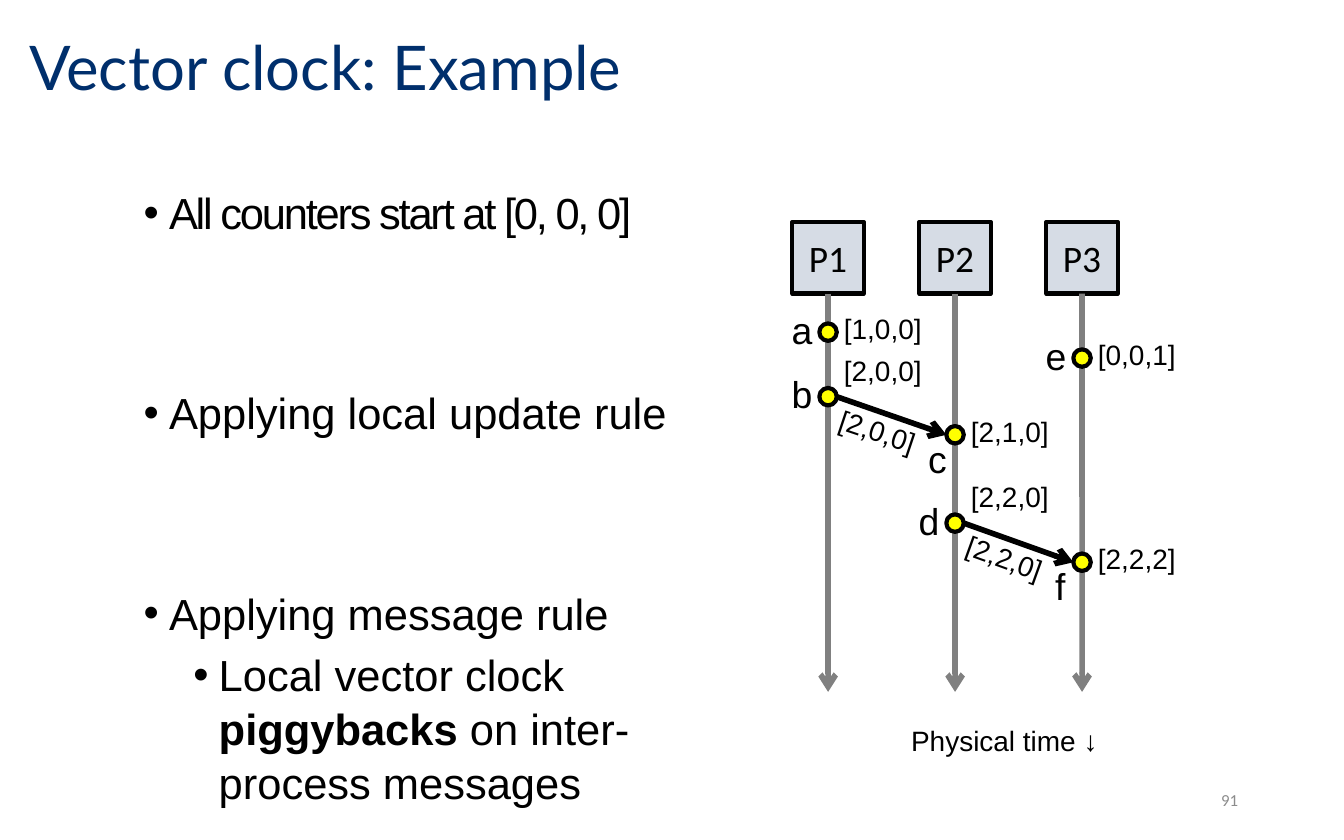
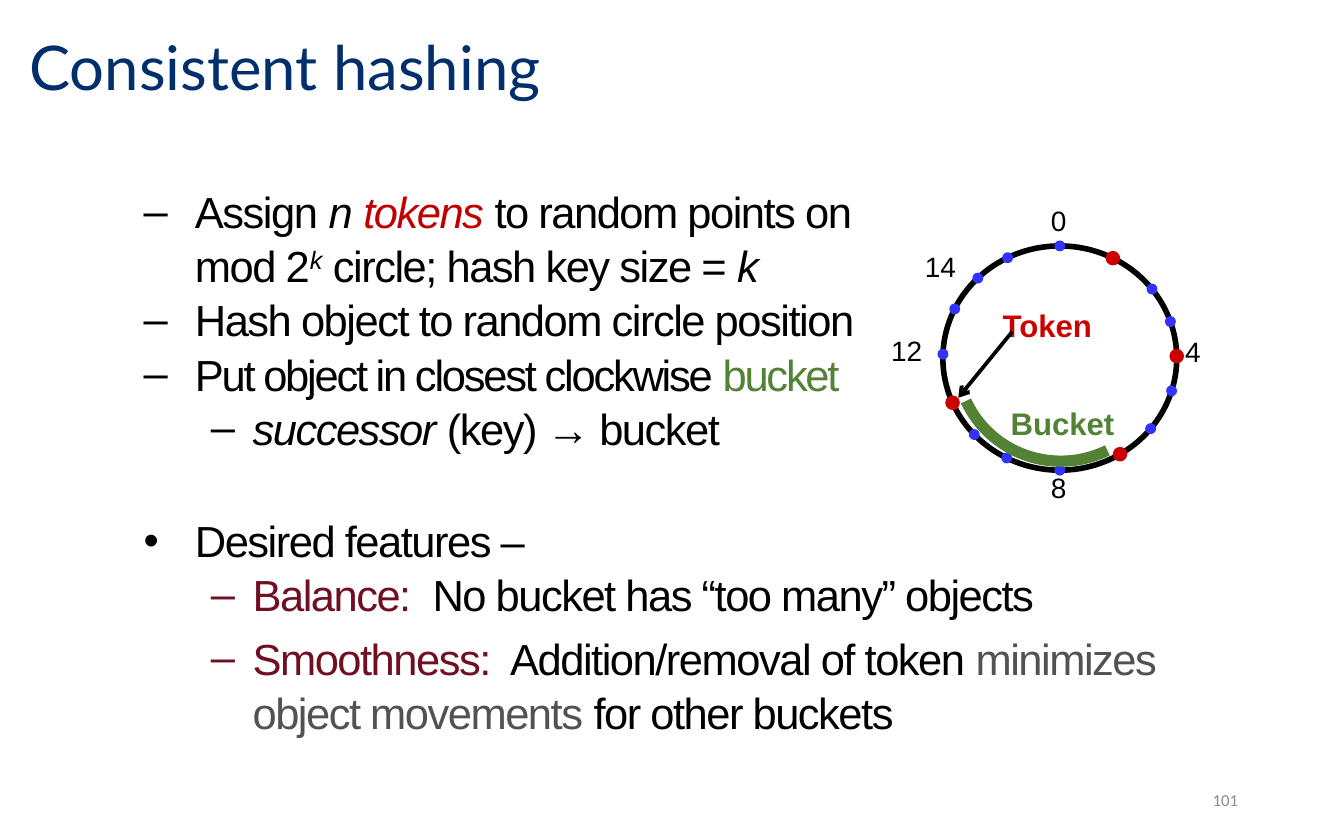
from math import cos, radians, sin

from lxml import etree
from pptx import Presentation
from pptx.dml.color import RGBColor
from pptx.enum.shapes import MSO_CONNECTOR, MSO_SHAPE
from pptx.enum.text import MSO_ANCHOR, MSO_AUTO_SIZE, PP_ALIGN
from pptx.oxml.ns import qn
from pptx.util import Cm, Pt

STRAIGHT = MSO_CONNECTOR.STRAIGHT
ELLIPSE, ARC, PROCESS = MSO_SHAPE.OVAL, MSO_SHAPE.ARC, MSO_SHAPE.FLOWCHART_PROCESS
TOP, MIDDLE = MSO_ANCHOR.TOP, MSO_ANCHOR.MIDDLE
LEFT, CENTER, RIGHT = PP_ALIGN.LEFT, PP_ALIGN.CENTER, PP_ALIGN.RIGHT
NO_AUTOFIT, GROW = MSO_AUTO_SIZE.NONE, MSO_AUTO_SIZE.SHAPE_TO_FIT_TEXT

BLACK, NAVY, GRAY, NUMBER_GRAY = "000000", "002F6C", "808080", "8C8C8C"
BOX_FILL, YELLOW, BLUE, RED = "D6DCE5", "FFFF00", "3333FF", "CC0000"
GREEN, MAROON, DARK_GRAY, DARK_RED = "548235", "700F21", "525252", "C00000"

TITLE_BOX = (0.3, 0.25, 21.64, 2.18)
NUMBER_BOX = (17.93, 14.71, 5.72, 0.84)
LIST_SIZE = 23.3
LINE_SPACING = 1.04

LEVELS = {
    "point": ("•", 0, 0.48, 0.48),
    "detail": ("•", 1, 1.42, 0.48),
    "dash": ("–", 0, 0.97, 0.97),
    "heading": ("•", 0, 0.97, 0.97),
    "subdash": ("–", 1, 2.06, 0.79),
}
TIGHT = {"spacing": -0.8}
TIGHTER = {"spacing": -1.2}
ITALIC = {"spacing": -0.8, "italic": True}

CLOCK_BOX = (2.46, 3.35, 11.48, 12.09)
CLOCK_LIST = [
    ("point", 0, 0, [("All counters start at [0, 0, 0]", TIGHTER)]),
    ("point", 78.3, 0, [("Applying local update rule", {})]),
    ("point", 78.3, 0, [("Applying message rule", {})]),
    ("detail", 3.8, 0, [
        ("Local vector clock ", {}),
        ("piggybacks", {"bold": True}),
        (" on inter-process messages", {}),
    ]),
]

PROCESSES = ["P1", "P2", "P3"]
PROCESS_LEFT, PROCESS_STEP, PROCESS_TOP, PROCESS_SIZE = 15.65, 2.4, 4.2, 1.35
TIMELINE_END = 13.08
EVENT_SIZE = 0.33
BESIDE, BELOW = (-0.94, -0.6), (-0.76, -0.1)
LEVEL_WITH, ABOVE = (0.05, -0.51), (0.05, -0.95)
EVENTS = {
    "a": (0, 6.28, BESIDE, "[1,0,0]", LEVEL_WITH),
    "b": (0, 7.5, BESIDE, "[2,0,0]", ABOVE),
    "c": (1, 8.22, BELOW, "[2,1,0]", LEVEL_WITH),
    "d": (1, 9.89, BESIDE, "[2,2,0]", ABOVE),
    "e": (2, 6.77, BESIDE, "[0,0,1]", LEVEL_WITH),
    "f": (2, 10.63, BELOW, "[2,2,2]", LEVEL_WITH),
}
MESSAGES = [("b", "c", 18.5), ("d", "f", 19.8)]

HASH_BOX = (2.46, 3.33, 14.6, 6.2)
HASH_LIST = [
    ("dash", 0, 0, [
        ("Assign ", TIGHT),
        ("n ", ITALIC),
        ("tokens ", {**ITALIC, "color": DARK_RED}),
        ("to random points on mod 2", TIGHT),
        ("k", {**ITALIC, "baseline": 30}),
        (" circle; hash key size = ", TIGHT),
        ("k", ITALIC),
    ]),
    ("dash", 0, 0, [("Hash object to random circle position", TIGHT)]),
    ("dash", 0, 0, [
        ("Put object in closest clockwise ", TIGHTER),
        ("bucket", {**TIGHTER, "color": GREEN}),
    ]),
    ("subdash", 0, 0, [("successor ", ITALIC), ("(key) → bucket", TIGHT)]),
]
FEATURE_BOX = (2.46, 9.55, 19.76, 5.03)
FEATURE_LIST = [
    ("heading", 0, 0, [("Desired features –", TIGHT)]),
    ("subdash", 0, 5, [
        ("Balance: ", {**TIGHT, "color": MAROON}),
        (" No bucket has “too many” objects", TIGHT),
    ]),
    ("subdash", 0, 5, [
        ("Smoothness:", {**TIGHT, "color": MAROON}),
        ("  Addition/removal of token ", TIGHT),
        ("minimizes object movements", {**TIGHT, "color": DARK_GRAY}),
        (" for other buckets", TIGHT),
    ]),
]

RING_CENTER, RING_RADII = (20.03, 6.77), (2.21, 2.12)
KEY_ANGLES = [0, 52, 71, 107, 129, 180, 207, 227, 272, 296, 315.5, 333.5]
TOKEN_ANGLES = [27, 89, 149, 246.5]
RING_DOTS = [(KEY_ANGLES, 0.18, BLUE), (TOKEN_ANGLES, 0.25, RED)]
RING_LABELS = [
    ("0", (19.86, 3.84, 0.36, 0.63), 15, BLACK, False),
    ("4", (22.4, 6.32, 0.36, 0.63), 15, BLACK, False),
    ("8", (19.86, 8.89, 0.36, 0.63), 15, BLACK, False),
    ("12", (16.84, 6.3, 1, 0.63), 15, BLACK, False),
    ("14", (17.48, 4.72, 0.9, 0.63), 15, BLACK, False),
    ("Token", (18.95, 5.79, 2.11, 0.71), 16.7, RED, True),
    ("Bucket", (19.1, 7.65, 2.11, 0.71), 16.7, GREEN, True),
]
BUCKET_ARC, BUCKET_ANGLES = (18.08, 4.83, 3.94, 3.89), (63.2, 155.8)
TOKEN_ARROW = ((19.13, 6.27), (18.11, 7.52))


def rgb(value):
    return RGBColor.from_string(value)


def lengths(values):
    return [Cm(value) for value in values]


def set_font(font, name, size, color, bold=False, italic=False):
    font.name, font.size = name, Pt(size)
    font.bold, font.italic = bold, italic
    font.color.rgb = rgb(color)


def place(shape, box):
    shape.left, shape.top, shape.width, shape.height = lengths(box)


def add_slide(presentation, layout, title, number):
    slide = presentation.slides.add_slide(presentation.slide_layouts[layout])
    shape = slide.shapes.title
    place(shape, TITLE_BOX)
    frame = shape.text_frame
    frame.text = title
    frame.auto_size, frame.vertical_anchor = NO_AUTOFIT, MIDDLE
    paragraph = frame.paragraphs[0]
    paragraph.alignment, paragraph.line_spacing = LEFT, 0.9
    set_font(paragraph.runs[0].font, "Lato", 33, NAVY)
    label = add_label(slide, number, NUMBER_BOX, 9, NUMBER_GRAY, font="Calibri")
    label.text_frame.vertical_anchor = MIDDLE
    label.text_frame.paragraphs[0].alignment = RIGHT
    return slide


def fill_list(shape, box, items):
    place(shape, box)
    frame = shape.text_frame
    frame.word_wrap, frame.auto_size, frame.vertical_anchor = True, NO_AUTOFIT, TOP
    for index, (style, before, after, runs) in enumerate(items):
        paragraph = frame.add_paragraph() if index else frame.paragraphs[0]
        bullet, level, margin, hanging = LEVELS[style]
        properties = paragraph._p.get_or_add_pPr()
        properties.set("marL", str(Cm(margin)))
        properties.set("indent", str(-Cm(hanging)))
        etree.SubElement(properties, qn("a:buChar")).set("char", bullet)
        paragraph.level, paragraph.alignment = level, LEFT
        paragraph.line_spacing = LINE_SPACING
        paragraph.space_before, paragraph.space_after = Pt(before), Pt(after)
        for text, look in runs:
            run = paragraph.add_run()
            run.text = text
            set_font(run.font, "Arial", LIST_SIZE, look.get("color", BLACK),
                     look.get("bold", False), look.get("italic", False))
            run_properties = run._r.get_or_add_rPr()
            run_properties.set("spc", str(round(look.get("spacing", 0) * 100)))
            if "baseline" in look:
                run_properties.set("baseline", str(look["baseline"] * 1000))


def add_label(slide, text, box, size, color=BLACK, bold=False, font="Arial"):
    label = slide.shapes.add_textbox(*lengths(box))
    frame = label.text_frame
    frame.text = text
    frame.word_wrap = False
    set_font(frame.paragraphs[0].runs[0].font, font, size, color, bold)
    return label


def add_figure(slide, kind, box, fill, line, width):
    shape = slide.shapes.add_shape(kind, *lengths(box))
    shape.shadow.inherit = False
    if fill:
        shape.fill.solid()
        shape.fill.fore_color.rgb = rgb(fill)
    else:
        shape.fill.background()
    shape.line.color.rgb = rgb(line)
    shape.line.width = Pt(width)
    return shape


def add_dot(slide, center, size, fill, line, width):
    x, y = center
    add_figure(slide, ELLIPSE, (x - size / 2, y - size / 2, size, size), fill, line, width)


def add_arrow(slide, start, end, color, width):
    arrow = slide.shapes.add_connector(STRAIGHT, *lengths(start + end))
    arrow.line.color.rgb = rgb(color)
    arrow.line.width = Pt(width)
    etree.SubElement(arrow.line._get_or_add_ln(), qn("a:tailEnd")).set("type", "arrow")
    etree.SubElement(arrow._element.spPr, qn("a:effectLst"))
    return arrow


def process_x(index):
    return PROCESS_LEFT + index * PROCESS_STEP


def event_center(name):
    return process_x(EVENTS[name][0]), EVENTS[name][1]


def add_event_label(slide, text, event, offset, width, height, size):
    x, y = event_center(event)
    label = add_label(slide, text, (x + offset[0], y + offset[1], width, height), size)
    label.text_frame.auto_size = GROW
    return label


def build_vector_clock(presentation):
    slide = add_slide(presentation, 1, "Vector clock: Example", "91")
    fill_list(slide.placeholders[1], CLOCK_BOX, CLOCK_LIST)
    for index, name in enumerate(PROCESSES):
        x = process_x(index)
        box = (x - PROCESS_SIZE / 2, PROCESS_TOP, PROCESS_SIZE, PROCESS_SIZE)
        process = add_figure(slide, PROCESS, box, BOX_FILL, BLACK, 2.25)
        frame = process.text_frame
        frame.text = name
        frame.margin_left = frame.margin_right = Cm(0.2)
        frame.margin_top = frame.margin_bottom = Cm(0.1)
        frame.vertical_anchor = MIDDLE
        frame.paragraphs[0].alignment = CENTER
        set_font(frame.paragraphs[0].runs[0].font, "Calibri", 20, BLACK)
        start = (x, PROCESS_TOP + PROCESS_SIZE)
        timeline = add_arrow(slide, start, (x, TIMELINE_END), GRAY, 3)
        timeline.begin_connect(process, 2)
    for sender, receiver, angle in MESSAGES:
        (x1, y1), (x2, y2) = event_center(sender), event_center(receiver)
        add_arrow(slide, (x1 + EVENT_SIZE / 2, y1), (x2 - EVENT_SIZE / 2, y2), BLACK, 3)
        label = add_event_label(slide, EVENTS[sender][3], sender, (-0.05, 0.21), 2.01, 0.89, 15)
        label.rotation = angle
    for name, (_, _, name_offset, clock, clock_offset) in EVENTS.items():
        add_dot(slide, event_center(name), EVENT_SIZE, YELLOW, BLACK, 2.25)
        add_event_label(slide, name, name, name_offset, 0.91, 1.12, 20)
        add_event_label(slide, clock, name, clock_offset, 2.01, 0.89, 15)
    add_label(slide, "Physical time ↓", (16.97, 13.56, 4.09, 0.89), 15)


def build_consistent_hashing(presentation):
    slide = add_slide(presentation, 3, "Consistent hashing", "101")
    fill_list(slide.placeholders[1], HASH_BOX, HASH_LIST)
    fill_list(slide.placeholders[2], FEATURE_BOX, FEATURE_LIST)
    (x, y), (radius_x, radius_y) = RING_CENTER, RING_RADII
    ring = (x - radius_x, y - radius_y, 2 * radius_x, 2 * radius_y)
    add_figure(slide, ELLIPSE, ring, None, BLACK, 3)
    for angles, size, color in RING_DOTS:
        for angle in map(radians, angles):
            center = (x + radius_x * sin(angle), y - radius_y * cos(angle))
            add_dot(slide, center, size, color, color, 0.75)
    for text, box, size, color, bold in RING_LABELS:
        frame = add_label(slide, text, box, size, color, bold).text_frame
        frame.margin_left = frame.margin_right = frame.margin_top = frame.margin_bottom = 0
    add_arrow(slide, *TOKEN_ARROW, BLACK, 2)
    arc = add_figure(slide, ARC, BUCKET_ARC, None, GREEN, 6)
    for index, angle in enumerate(BUCKET_ANGLES):
        arc.adjustments[index] = angle * 0.6


def main():
    presentation = Presentation()
    presentation.slide_width, presentation.slide_height = Cm(25.4), Cm(15.88)
    build_vector_clock(presentation)
    build_consistent_hashing(presentation)
    presentation.save("out.pptx")


if __name__ == "__main__":
    main()
